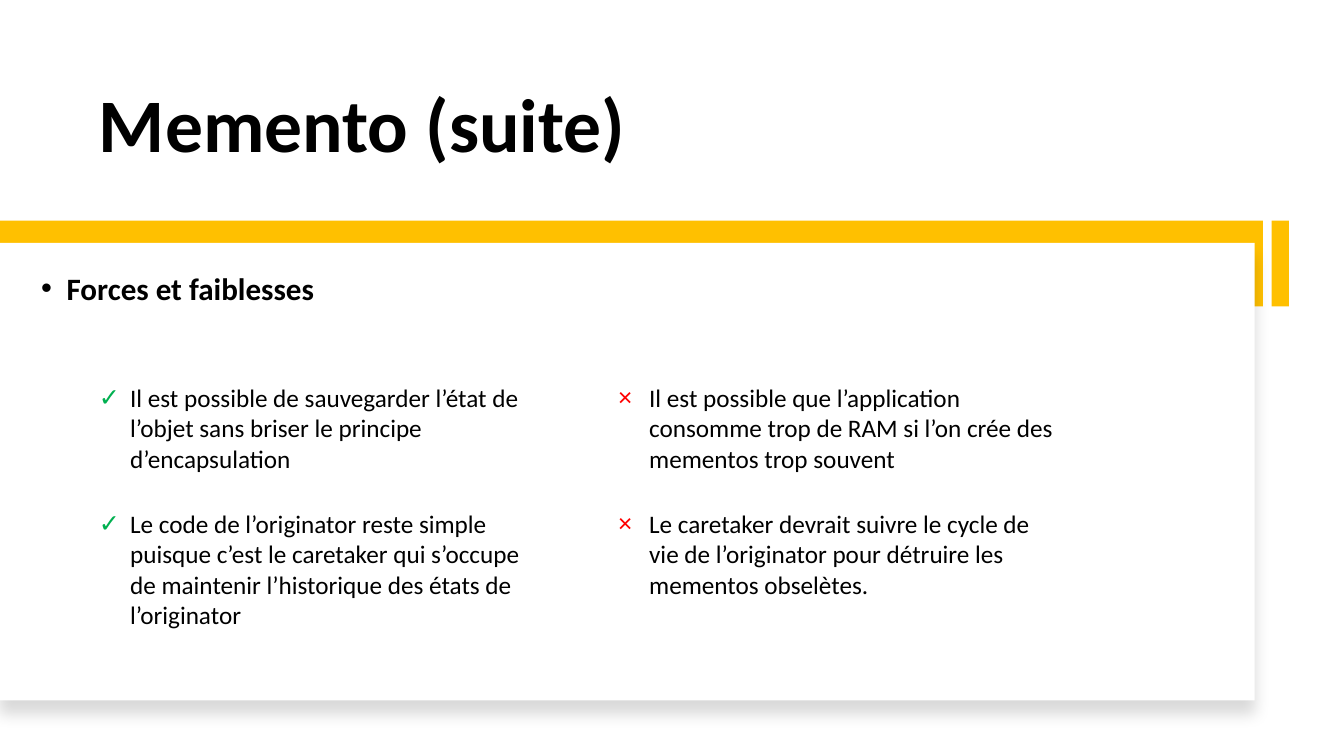
"""Build the slide on the strengths and weaknesses of Memento."""
from lxml import etree
from pptx import Presentation
from pptx.dml.color import RGBColor
from pptx.enum.shapes import MSO_SHAPE
from pptx.enum.text import MSO_ANCHOR, MSO_AUTO_SIZE
from pptx.oxml.ns import qn
from pptx.util import Cm, Pt

RECT = MSO_SHAPE.RECTANGLE
MIDDLE, BOTTOM = MSO_ANCHOR.MIDDLE, MSO_ANCHOR.BOTTOM
GROW, FIXED = MSO_AUTO_SIZE.SHAPE_TO_FIT_TEXT, MSO_AUTO_SIZE.NONE
BLACK, WHITE, GOLD, GREEN, RED = "000000", "FFFFFF", "FFC000", "00B050", "FF0000"

TITLE = "Memento (suite)"
HEAD = "Forces et faiblesses"
SIDES = [
    ("✓", GREEN, [
        "Il est possible de sauvegarder l’état de l’objet sans briser le principe d’encapsulation",
        "Le code de l’originator reste simple puisque c’est le caretaker qui s’occupe "
        "de maintenir l’historique des états de l’originator",
    ]),
    ("×", RED, [
        "Il est possible que l’application consomme trop de RAM si l’on crée des mementos trop souvent",
        "Le caretaker devrait suivre le cycle de vie de l’originator pour détruire les mementos obselètes.",
    ]),
]
BANDS = [
    (32.05, 5.56, 0.43, 2.16, GOLD),
    (0, 5.56, 31.83, 2.16, GOLD),
    (0, 6.12, 31.62, 11.53, WHITE),
]
LEFT, TOP, COL, ROW = 2.24, 9.51, 13.08, 3.18
WIDE, TALL = 11.61, 2.57


def color(code):
    return RGBColor.from_string(code)


def add(parent, tag, **attrs):
    node = etree.SubElement(parent, qn(tag))
    for key, val in attrs.items():
        node.set(key, str(val))
    return node


def band(slide, x, y, w, h, fill):
    shape = slide.shapes.add_shape(RECT, Cm(x), Cm(y), Cm(w), Cm(h))
    shape.shadow.inherit = False
    shape.fill.solid()
    shape.fill.fore_color.rgb = color(fill)
    shape.line.fill.background()
    return shape


def shade(shape):
    glow = shape._element.spPr.find(qn("a:effectLst"))
    drop = add(glow, "a:outerShdw", blurRad=Pt(11), dist=Pt(10),
               dir=90 * 60000, algn="t", rotWithShape=0)
    add(add(drop, "a:srgbClr", val=BLACK), "a:alpha", val=15000)


def bullet(para, mark, tint, indent):
    props = para._p.get_or_add_pPr()
    props.set("marL", str(Cm(indent)))
    props.set("indent", str(-Cm(indent)))
    add(add(props, "a:buClr"), "a:srgbClr", val=tint)
    add(props, "a:buFont", typeface="Arial")
    add(props, "a:buChar", char=mark)


def write(frame, text, size, bold, mark=None, **form):
    frame.word_wrap = True
    for key, val in form.items():
        setattr(frame, key, val)
    para = frame.paragraphs[0]
    para.text = text
    if mark:
        bullet(para, *mark)
    look = {"name": "Calibri", "size": Pt(size), "bold": bold}
    for key, val in look.items():
        setattr(para.runs[0].font, key, val)
    para.runs[0].font.color.rgb = color(BLACK)
    return para


def box(slide, x, y, w, h):
    return slide.shapes.add_textbox(Cm(x), Cm(y), Cm(w), Cm(h)).text_frame


def main():
    deck = Presentation()
    deck.slide_width, deck.slide_height = Cm(33.87), Cm(19.05)
    slide = deck.slides.add_slide(deck.slide_layouts[5])
    title = slide.shapes.title
    place = {"left": 2.24, "top": 1.07, "width": 25.65, "height": 3.3}
    for key, val in place.items():
        setattr(title, key, Cm(val))
    para = write(title.text_frame, TITLE, 54, True,
                 vertical_anchor=BOTTOM, auto_size=FIXED)
    para.alignment = 1
    para.line_spacing = 0.9
    for item in BANDS:
        panel = band(slide, *item)
    shade(panel)
    para = write(box(slide, 0.79, 6.81, 26.39, 1.07), HEAD, 22.2, True,
                 ("•", BLACK, 0.64), vertical_anchor=MIDDLE, auto_size=FIXED)
    para.line_spacing = 0.8
    for col, (mark, tint, notes) in enumerate(SIDES):
        for row, note in enumerate(notes):
            frame = box(slide, LEFT + col * COL, TOP + row * ROW, WIDE, TALL)
            write(frame, note, 18, False, (mark, tint, 0.79), auto_size=GROW)
    deck.save("out.pptx")


if __name__ == "__main__":
    main()
